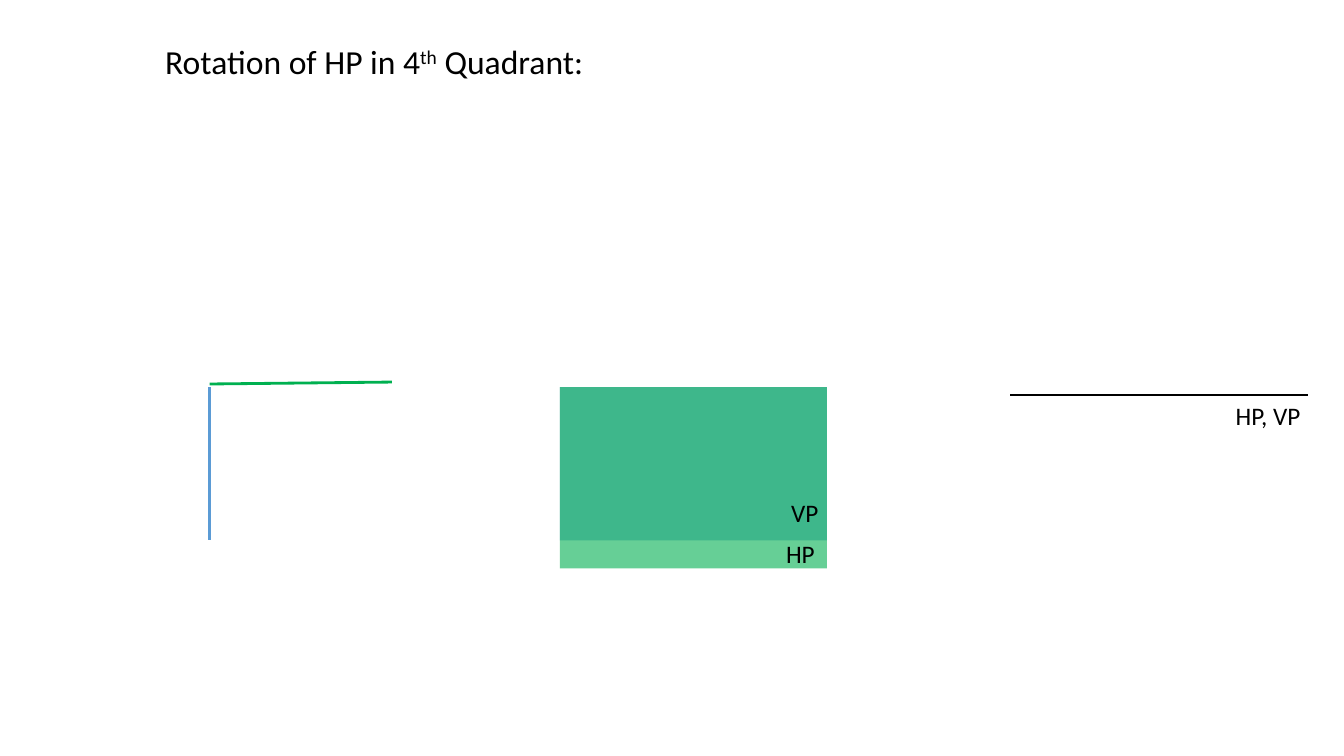
from lxml.etree import SubElement
from pptx import Presentation
from pptx.dml.color import RGBColor
from pptx.enum.shapes import MSO_CONNECTOR, MSO_SHAPE
from pptx.enum.text import MSO_AUTO_SIZE
from pptx.oxml.ns import qn
from pptx.util import Pt

HUES = {"blue": "5B9BD5", "green": "00B050", "black": "000000"}


def hue(name):
    return RGBColor.from_string(HUES[name])


def add_line(slide, start, end, color, width):
    line = slide.shapes.add_connector(
        MSO_CONNECTOR.STRAIGHT, *map(Pt, start + end))
    line.line.color.rgb = hue(color)
    line.line.width = Pt(width)
    SubElement(line._element.spPr, qn("a:effectLst"))


def add_plane(slide, box, color, alpha):
    plane = slide.shapes.add_shape(MSO_SHAPE.RECTANGLE, *map(Pt, box))
    plane.shadow.inherit = False
    plane.line.fill.background()
    plane.fill.solid()
    plane.fill.fore_color.rgb = hue(color)
    tint = plane._element.spPr.find(qn("a:solidFill"))[0]
    SubElement(tint, qn("a:alpha"), val=str(alpha * 1000))


def add_text(slide, box, size, runs):
    frame = slide.shapes.add_textbox(*map(Pt, box)).text_frame
    frame.word_wrap = True
    frame.auto_size = MSO_AUTO_SIZE.SHAPE_TO_FIT_TEXT
    for text, base in runs:
        run = frame.paragraphs[0].add_run()
        run.text = text
        run.font.name = "Calibri"
        run.font.size = Pt(size)
        run.font.color.rgb = hue("black")
        if base:
            run.font._element.set("baseline", str(base * 1000))


def main():
    deck = Presentation()
    deck.slide_width, deck.slide_height = Pt(960), Pt(540)
    slide = deck.slides.add_slide(deck.slide_layouts[6])

    # Side view: vertical and horizontal planes seen edge-on
    add_line(slide, (149.8, 276.5), (149.8, 386), "blue", 2)
    add_line(slide, (149.8, 274.3), (280, 272.9), "green", 2)

    # Front view: overlapping see-through planes
    for color, height in (("blue", 109.5), ("green", 129.5)):
        add_plane(slide, (400, 276.5, 190.7, height), color, 60)

    # Top view: both planes fall on one line
    add_line(slide, (721.5, 282.2), (934, 282.2), "black", 1.5)

    # Plane labels
    for text, left, top in (("HP, VP", 875.5, 282.2),
                            ("VP", 558, 351.5),
                            ("HP", 554.4, 380.9)):
        add_text(slide, (left, top, 72, 29), 18, [(text, 0)])

    # Heading
    add_text(slide, (110.9, 26, 404.6, 36), 24,
             [("Rotation of HP in 4", 0), ("th", 30), (" Quadrant:", 0)])

    deck.save("out.pptx")


if __name__ == "__main__":
    main()
